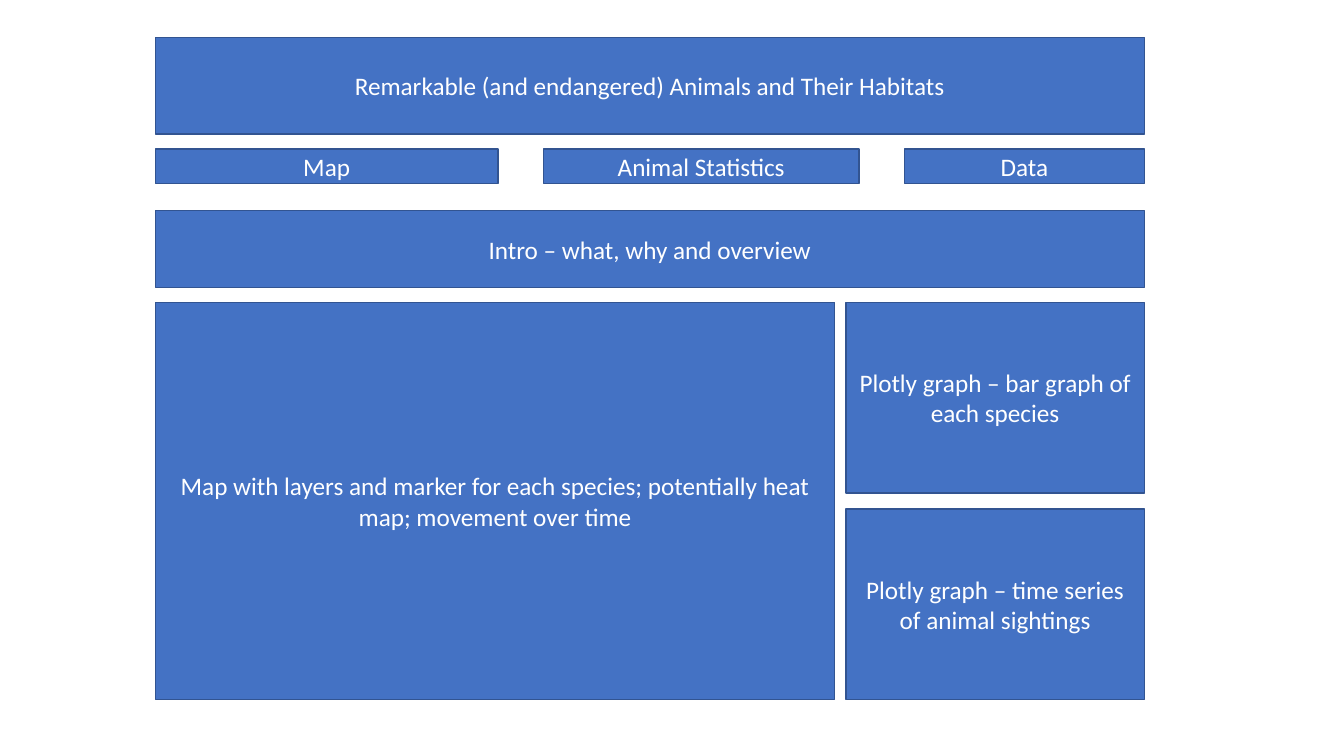
"""Build a wireframe slide for a dashboard on endangered animals."""
from pptx import Presentation
from pptx.dml.color import RGBColor
from pptx.enum.shapes import MSO_SHAPE as Shape
from pptx.enum.text import MSO_ANCHOR as Anchor, MSO_AUTO_SIZE as Fit, PP_ALIGN as Align
from pptx.util import Inches, Pt

BLUE = RGBColor(0x44, 0x72, 0xC4)
EDGE = RGBColor(0x32, 0x54, 0x91)
WHITE = RGBColor(0xFF, 0xFF, 0xFF)

LEFT, WIDE = 1.54, 9.81
RIGHT = LEFT + WIDE
GAP = 0.45
TOP, TALL = 3, 3.94
SIDE, HALF = 2.96, 1.89


def style(box, text):
    box.fill.solid()
    box.fill.fore_color.rgb = BLUE
    box.line.color.rgb = EDGE
    box.line.width = Pt(1)
    frame = box.text_frame
    frame.word_wrap = True
    frame.auto_size = Fit.NONE
    frame.vertical_anchor = Anchor.MIDDLE
    para = frame.paragraphs[0]
    para.alignment = Align.CENTER
    run = para.add_run()
    run.text = text
    run.font.name = "Calibri"
    run.font.size = Pt(18)
    run.font.color.rgb = WHITE


deck = Presentation()
deck.slide_width, deck.slide_height = Inches(13.33), Inches(7.5)
slide = deck.slides.add_slide(deck.slide_layouts[5])

title = slide.shapes.title
title.left, title.top = Inches(LEFT), Inches(0.37)
title.width, title.height = Inches(WIDE), Inches(0.96)
style(title, "Remarkable (and endangered) Animals and Their Habitats")

panels = [
    (LEFT, TOP, 6.74, TALL,
     "Map with layers and marker for each species; potentially heat map; movement over time"),
    (LEFT, 2.09, WIDE, 0.76, "Intro – what, why and overview"),
    (RIGHT - SIDE, TOP, SIDE, HALF, "Plotly graph – bar graph of each species"),
    (RIGHT - SIDE, TOP + TALL - HALF, SIDE, HALF,
     "Plotly graph – time series of animal sightings"),
]

left = LEFT
for width, text in [(3.4, "Map"), (3.13, "Animal Statistics"), (2.38, "Data")]:
    panels.append((left, 1.48, width, 0.34, text))
    left += width + GAP

for *place, text in panels:
    box = slide.shapes.add_shape(Shape.RECTANGLE, *map(Inches, place))
    box.shadow.inherit = False
    style(box, text)

deck.save("out.pptx")
